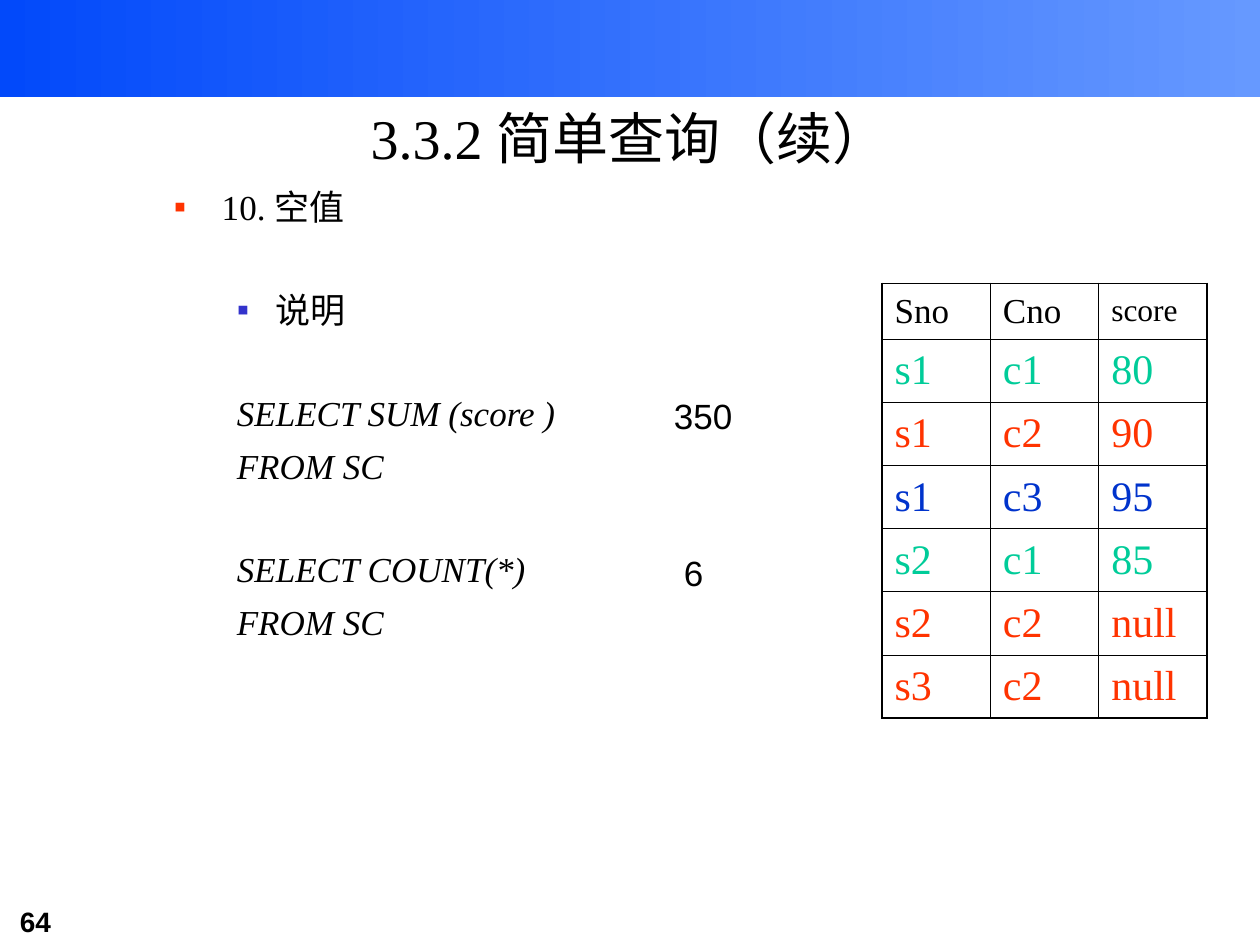
import lxml.etree
import pptx
import pptx.dml.color
import pptx.enum.shapes
import pptx.enum.text
import pptx.oxml.ns
import pptx.util
from pptx.util import Inches

SERIF = "Times New Roman"
BLACK, GREEN, RED, BLUE = "000000", "00CC99", "FF3300", "0033CC"
LINE_GAP = 6
BLANK_LINE_GAP = 35


def color(hex_code):
    return pptx.dml.color.RGBColor.from_string(hex_code)


def add_xml(parent, tag, **attributes):
    return lxml.etree.SubElement(parent, pptx.oxml.ns.qn(tag), **attributes)


def write(paragraph, text, size=20, font=SERIF, ink=BLACK, bold=False,
          italic=False, align=None, before=0):
    run = paragraph.add_run()
    run.text = text
    run.font.size = pptx.util.Pt(size)
    run.font.name = font
    run.font.color.rgb = color(ink)
    run.font.bold = bold
    run.font.italic = italic
    paragraph.alignment = align
    paragraph.space_before = pptx.util.Pt(before)


def place(shape, left, top, width, height):
    shape.left, shape.top = left, top
    shape.width, shape.height = width, height


def add_band(slide, left, top, width, height):
    band = slide.shapes.add_shape(
        pptx.enum.shapes.MSO_SHAPE.RECTANGLE, left, top, width, height)
    band.shadow.inherit = False
    band.line.fill.background()
    band.fill.gradient()
    band.fill.gradient_angle = 0
    for stop, shade in zip(band.fill.gradient_stops, ("0249FA", "6699FF")):
        stop.color.rgb = color(shade)
    slide.shapes._spTree.insert(2, band._element)


def add_title(slide, left, top, width, height):
    title = slide.shapes.title
    place(title, left, top, width, height)
    frame = title.text_frame
    frame.auto_size = pptx.enum.text.MSO_AUTO_SIZE.NONE
    frame.vertical_anchor = pptx.enum.text.MSO_ANCHOR.MIDDLE
    write(frame.paragraphs[0], "3.3.2 简单查询（续）", size=32,
          align=pptx.enum.text.PP_ALIGN.CENTER)


def set_bullet(paragraph, margin, indent, ink):
    properties = paragraph._p.get_or_add_pPr()
    properties.set("marL", str(margin))
    properties.set("indent", str(indent))
    if ink:
        add_xml(add_xml(properties, "a:buClr"), "a:srgbClr", val=ink)
        add_xml(properties, "a:buChar", char="▪")
    else:
        add_xml(properties, "a:buNone")


def add_outline(slide, left, top, width, height):
    outline = slide.placeholders[1]
    place(outline, left, top, width, height)
    frame = outline.text_frame
    frame.auto_size = pptx.enum.text.MSO_AUTO_SIZE.NONE
    lines = [
        ("10. 空值", 0, RED, 0),
        ("说明", 1, "3333CC", BLANK_LINE_GAP),
        ("SELECT SUM (score )", 1, None, BLANK_LINE_GAP),
        ("FROM SC", 1, None, LINE_GAP),
        ("SELECT COUNT(*)", 1, None, BLANK_LINE_GAP),
        ("FROM SC", 1, None, LINE_GAP),
    ]
    indents = [(Inches(0.38), Inches(-0.38)), (Inches(0.81), Inches(-0.31))]
    for number, (text, level, bullet_ink, before) in enumerate(lines):
        paragraph = frame.add_paragraph() if number else frame.paragraphs[0]
        paragraph.level = level
        set_bullet(paragraph, *indents[level], bullet_ink)
        write(paragraph, text, italic=bullet_ink is None, before=before)


def set_borders(cell, **widths):
    properties = cell._tc.get_or_add_tcPr()
    for side in "LRTB":
        border = add_xml(properties, f"a:ln{side}",
                         w=str(pptx.util.Pt(widths[side])))
        add_xml(add_xml(border, "a:solidFill"), "a:srgbClr", val=BLACK)


def add_scores(slide, left, top, width, height):
    header = ("Sno", "Cno", "score")
    records = [
        ("s1", "c1", "80", GREEN),
        ("s1", "c2", "90", RED),
        ("s1", "c3", "95", BLUE),
        ("s2", "c1", "85", GREEN),
        ("s2", "c2", "null", RED),
        ("s3", "c2", "null", RED),
    ]
    rows = [(*header, BLACK)] + records
    last_row, last_column = len(rows) - 1, len(header) - 1
    scores = slide.shapes.add_table(
        len(rows), len(header), left, top, width, height).table
    scores.first_row = scores.horz_banding = False
    for column in scores.columns:
        column.width = width // len(header)
    header_height = Inches(0.44)
    for r, (*values, ink) in enumerate(rows):
        scores.rows[r].height = (
            (height - header_height) // len(records) if r else header_height)
        for c, value in enumerate(values):
            cell = scores.cell(r, c)
            set_borders(cell,
                        L=0.45 if c else 1.08,
                        R=1.08 if c == last_column else 0.45,
                        T=0.45 if r else 1.08,
                        B=1.08 if r == last_row else 0.45)
            cell.fill.background()
            cell.vertical_anchor = pptx.enum.text.MSO_ANCHOR.MIDDLE
            size = 24 if r else 18 if value == "score" else 20
            write(cell.text_frame.paragraphs[0], value, size=size, ink=ink)


def add_label(slide, text, left, top, width, height, **text_format):
    frame = slide.shapes.add_textbox(left, top, width, height).text_frame
    frame.word_wrap = True
    write(frame.paragraphs[0], text, font="Arial", **text_format)


def main():
    deck = pptx.Presentation()
    deck.slide_width, deck.slide_height = Inches(10), Inches(7.5)
    slide = deck.slides.add_slide(deck.slide_layouts[1])
    add_band(slide, 0, 0, deck.slide_width, Inches(0.77))
    add_title(slide, Inches(0.75), Inches(0.67), Inches(8.5), Inches(0.83))
    add_outline(slide, Inches(1.28), Inches(1.42), Inches(3.97), Inches(5.25))
    add_scores(slide, Inches(7), Inches(2.25), Inches(2.58), Inches(3.45))
    add_label(slide, "350", Inches(5.25), Inches(3.08),
              Inches(0.75), Inches(0.44))
    add_label(slide, "6", Inches(5.33), Inches(4.33),
              Inches(0.58), Inches(0.44))
    add_label(slide, "64", Inches(0.06), Inches(7.13),
              Inches(1.22), Inches(0.37), size=16, bold=True)
    deck.save("out.pptx")


if __name__ == "__main__":
    main()
